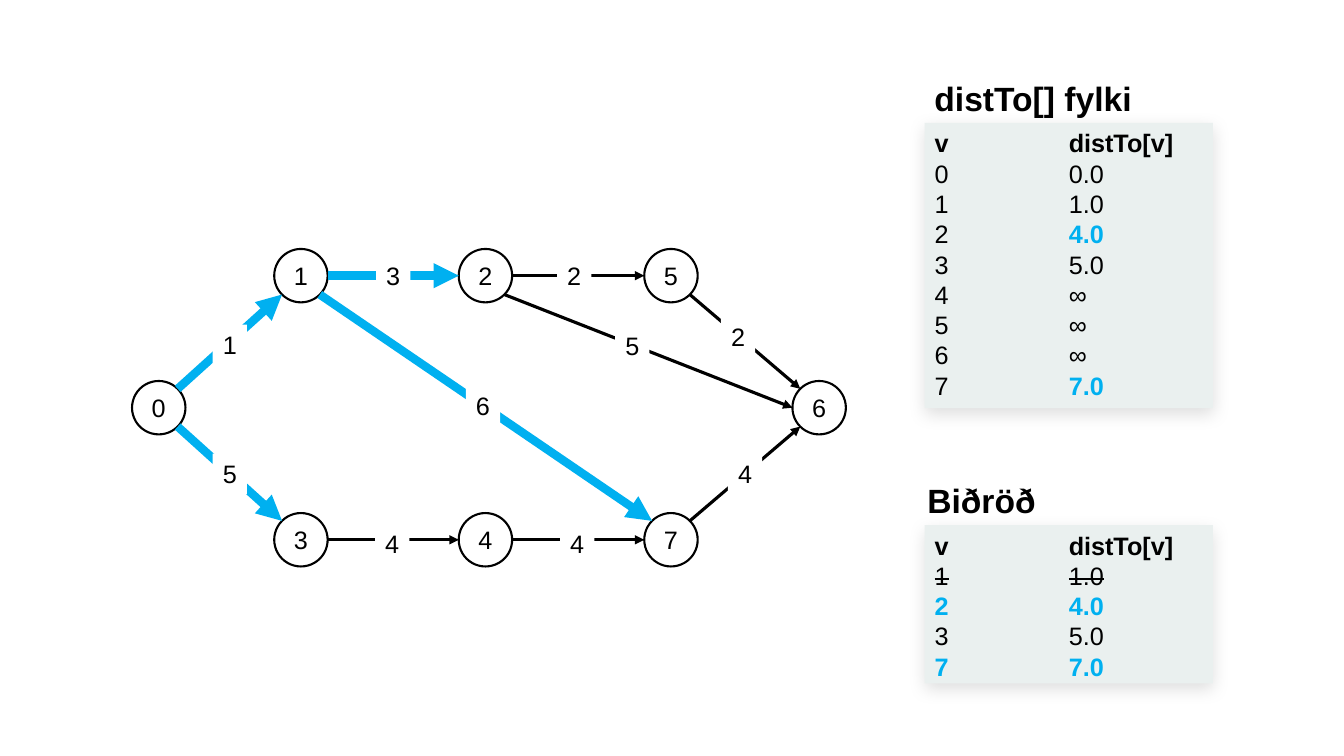
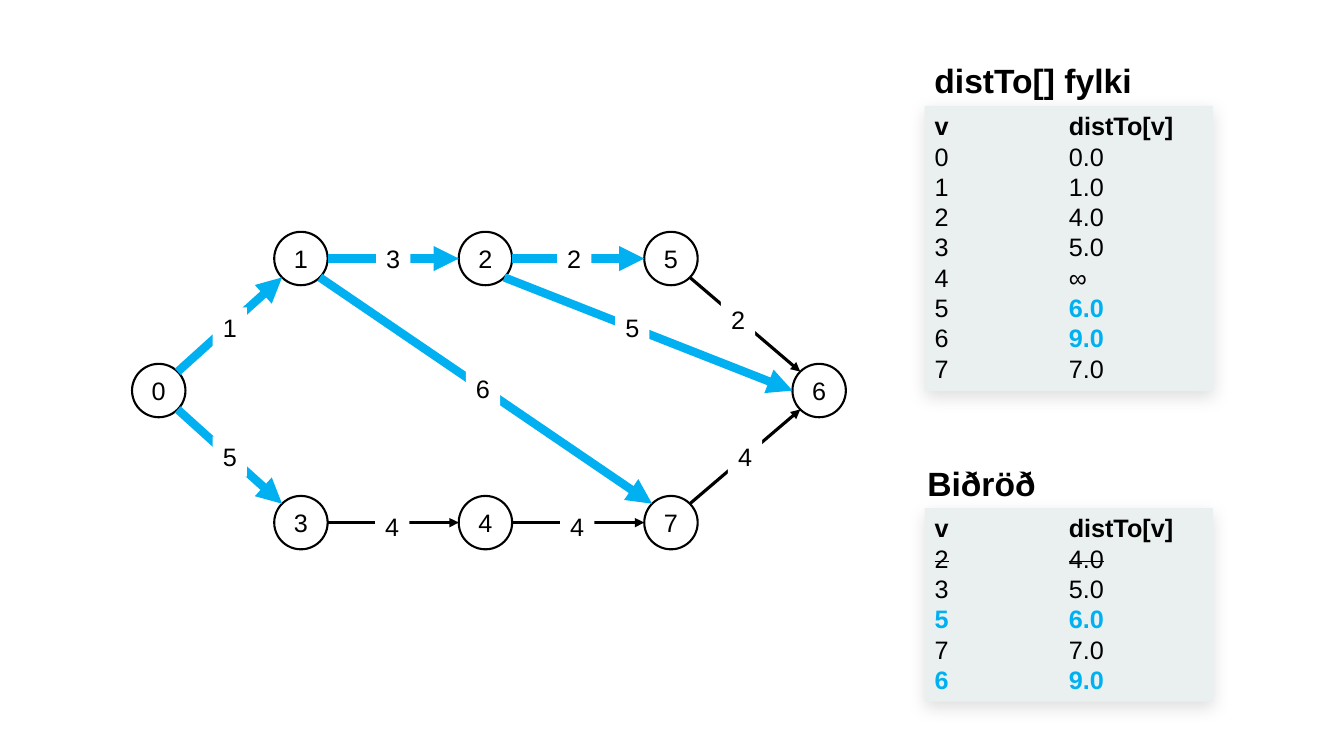
import math

import pptx
import pptx.dml.color
import pptx.enum.shapes
import pptx.enum.text
import pptx.oxml.ns
import pptx.util
from lxml import etree

Inches = pptx.util.Inches
Pt = pptx.util.Pt
SHAPES = pptx.enum.shapes.MSO_SHAPE
CENTER = pptx.enum.text.PP_ALIGN.CENTER
LEFT = pptx.enum.text.PP_ALIGN.LEFT
MIDDLE = pptx.enum.text.MSO_ANCHOR.MIDDLE
qn = pptx.oxml.ns.qn

FONT = "Arial"
INK, PAPER, ACCENT, PANEL = "000000", "FFFFFF", "00B0F0", "EAF0EF"
PLAIN_TABLE = "{2D5ABB26-0587-4C30-8999-92F81FD0307C}"

SLIDE_WIDTH, SLIDE_HEIGHT = 13.33, 7.5
GRAPH_LEFT, GRAPH_TOP = 1.31, 2.47
PANEL_LEFT, PANEL_WIDTH = 9.17, 2.86
ARRAY_TOP, ARRAY_HEIGHT = 1.22, 2.83
QUEUE_TOP = 5.21
TITLE_HEIGHT, ROW_HEIGHT, PANEL_PAD = 0.5, 0.3, 0.06
VALUE_COLUMN = 1.33

NODE_SIZE = 0.53
COLUMNS = [0, 1.41, 3.24, 5.08, 6.55]
ROW_PITCH = 1.31
NODES = {0: (0, 1), 1: (1, 0), 3: (1, 2), 2: (2, 0), 4: (2, 2),
         5: (3, 0), 7: (3, 2), 6: (4, 1)}
LABEL_WIDTH, LABEL_HEIGHT = 0.34, 0.4

EAST, SOUTHEAST, SOUTHWEST, WEST, NORTHWEST, NORTHEAST = 0, 45, 135, 180, 225, 315
EDGES = [
    (0, NORTHEAST, 1, SOUTHWEST, "1", (0, 0.03)),
    (1, EAST, 2, WEST, "3", (0, 0)),
    (2, EAST, 5, WEST, "2", (-0.04, 0)),
    (5, SOUTHEAST, 6, NORTHWEST, "2", (-0.07, -0.05)),
    (0, SOUTHEAST, 3, NORTHWEST, "5", (0, 0)),
    (3, EAST, 4, WEST, "4", (-0.01, 0.04)),
    (4, EAST, 7, WEST, "4", (-0.01, 0.04)),
    (7, NORTHEAST, 6, SOUTHWEST, "4", (0, 0)),
    (1, SOUTHEAST, 7, NORTHWEST, "6", (-0.03, -0.02)),
    (2, SOUTHEAST, 6, WEST, "5", (-0.16, -0.06)),
]

STEPS = [
    {"shift": 0,
     "distances": ["0.0", "1.0", "4.0", "5.0", "∞", "∞", "∞", "7.0"],
     "updated": {2, 7},
     "queue": [1, 2, 3, 7],
     "queue_height": 1.57,
     "relaxed": {(0, 1), (0, 3), (1, 2), (1, 7)}},
    {"shift": -0.17,
     "distances": ["0.0", "1.0", "4.0", "5.0", "∞", "6.0", "9.0", "7.0"],
     "updated": {5, 6},
     "queue": [2, 3, 5, 7, 6],
     "queue_height": 1.92,
     "relaxed": {(0, 1), (0, 3), (1, 2), (1, 7), (2, 5), (2, 6)}},
]


def color(hex_string):
    return pptx.dml.color.RGBColor.from_string(hex_string)


def write(frame, text, size=18, bold=False, ink=INK, align=LEFT, struck=False):
    paragraph = frame.paragraphs[0]
    run = paragraph.add_run()
    run.text = text
    paragraph.alignment = align
    paragraph.font.name = FONT
    paragraph.font.size = Pt(size)
    paragraph.font.bold = bold
    paragraph.font.color.rgb = color(ink)
    if struck:
        run._r.get_or_add_rPr().set("strike", "sngStrike")


def add_solid(slide, kind, left, top, width, height, fill, outline=None):
    solid = slide.shapes.add_shape(kind, Inches(left), Inches(top),
                                   Inches(width), Inches(height))
    solid.shadow.inherit = False
    solid.fill.solid()
    solid.fill.fore_color.rgb = color(fill)
    if outline:
        solid.line.color.rgb = color(outline)
        solid.line.width = Pt(1.5)
    else:
        solid.line.fill.background()
    return solid


def add_soft_shadow(panel):
    effects = panel._element.spPr.find(qn("a:effectLst"))
    shadow = etree.SubElement(effects, qn("a:outerShdw"), blurRad=str(Pt(12.5)),
                              dist=str(Pt(4)), dir="5400000", algn="t", rotWithShape="0")
    tint = etree.SubElement(shadow, qn("a:srgbClr"), val=INK)
    etree.SubElement(tint, qn("a:alpha"), val="13000")


def draw_listing(slide, left, top, height, title, title_left, entries):
    heading = slide.shapes.add_textbox(Inches(title_left), Inches(top - TITLE_HEIGHT),
                                       Inches(PANEL_WIDTH), Inches(TITLE_HEIGHT))
    heading.text_frame.word_wrap = True
    write(heading.text_frame, title, size=24, bold=True)

    panel = add_solid(slide, SHAPES.RECTANGLE, left, top, PANEL_WIDTH, height, PANEL)
    add_soft_shadow(panel)

    rows = [(("v", {"bold": True}), ("distTo[v]", {"bold": True}))] + entries
    listing = slide.shapes.add_table(len(rows), 2, Inches(left), Inches(top + PANEL_PAD),
                                     Inches(PANEL_WIDTH), Inches(ROW_HEIGHT * len(rows))).table
    listing.first_row = listing.horz_banding = False
    listing._tbl.tblPr.find(qn("a:tableStyleId")).text = PLAIN_TABLE
    listing.columns[0].width = Inches(VALUE_COLUMN)
    listing.columns[1].width = Inches(PANEL_WIDTH - VALUE_COLUMN)
    for r, row in enumerate(rows):
        listing.rows[r].height = Inches(ROW_HEIGHT)
        for c, (text, style) in enumerate(row):
            cell = listing.cell(r, c)
            cell.fill.background()
            cell.margin_top = cell.margin_bottom = 0
            cell.vertical_anchor = MIDDLE
            write(cell.text_frame, text, **style)


def draw_edge(slide, start, end, highlighted):
    edge = slide.shapes.add_connector(pptx.enum.shapes.MSO_CONNECTOR.STRAIGHT,
                                      *(Inches(length) for length in start + end))
    edge.line.color.rgb = color(ACCENT if highlighted else INK)
    edge.line.width = Pt(6 if highlighted else 2.25)
    etree.SubElement(edge.line._get_or_add_ln(), qn("a:tailEnd"), type="triangle")
    etree.SubElement(edge._element.spPr, qn("a:effectLst"))


def draw_graph(slide, left, top, relaxed):
    radius = NODE_SIZE / 2
    centers = {}
    for vertex, (column, row) in NODES.items():
        x, y = left + COLUMNS[column], top + row * ROW_PITCH
        centers[vertex] = (x + radius, y + radius)
        node = add_solid(slide, SHAPES.OVAL, x, y, NODE_SIZE, NODE_SIZE, PAPER, INK)
        node.text_frame.vertical_anchor = MIDDLE
        write(node.text_frame, str(vertex), align=CENTER)

    def port(vertex, degrees):
        x, y = centers[vertex]
        angle = math.radians(degrees)
        return x + radius * math.cos(angle), y + radius * math.sin(angle)

    weights = []
    for source, exit_angle, target, entry_angle, weight, (dx, dy) in EDGES:
        start, end = port(source, exit_angle), port(target, entry_angle)
        draw_edge(slide, start, end, (source, target) in relaxed)
        weights.append((weight, (start[0] + end[0]) / 2 + dx, (start[1] + end[1]) / 2 + dy))

    for weight, x, y in weights:
        label = add_solid(slide, SHAPES.RECTANGLE, x - LABEL_WIDTH / 2, y - LABEL_HEIGHT / 2,
                          LABEL_WIDTH, LABEL_HEIGHT, PAPER)
        label.text_frame.word_wrap = False
        label.text_frame.vertical_anchor = MIDDLE
        write(label.text_frame, weight, align=CENTER)


def array_entries(step):
    fresh = {"bold": True, "ink": ACCENT}
    return [((str(vertex), {}), (distance, fresh if vertex in step["updated"] else {}))
            for vertex, distance in enumerate(step["distances"])]


def queue_entries(step):
    entries = []
    for position, vertex in enumerate(step["queue"]):
        style = {}
        if position == 0:
            style = {"struck": True}
        elif vertex in step["updated"]:
            style = {"bold": True, "ink": ACCENT}
        entries.append(((str(vertex), style), (step["distances"][vertex], style)))
    return entries


def draw_step(slide, step):
    shift = step["shift"]
    draw_listing(slide, PANEL_LEFT, ARRAY_TOP + shift, ARRAY_HEIGHT,
                 "distTo[] fylki", PANEL_LEFT, array_entries(step))
    draw_listing(slide, PANEL_LEFT, QUEUE_TOP + shift, step["queue_height"],
                 "Biðröð", PANEL_LEFT - 0.07, queue_entries(step))
    draw_graph(slide, GRAPH_LEFT, GRAPH_TOP + shift, step["relaxed"])


deck = pptx.Presentation()
deck.slide_width, deck.slide_height = Inches(SLIDE_WIDTH), Inches(SLIDE_HEIGHT)
for step in STEPS:
    draw_step(deck.slides.add_slide(deck.slide_layouts[6]), step)
deck.save("out.pptx")
